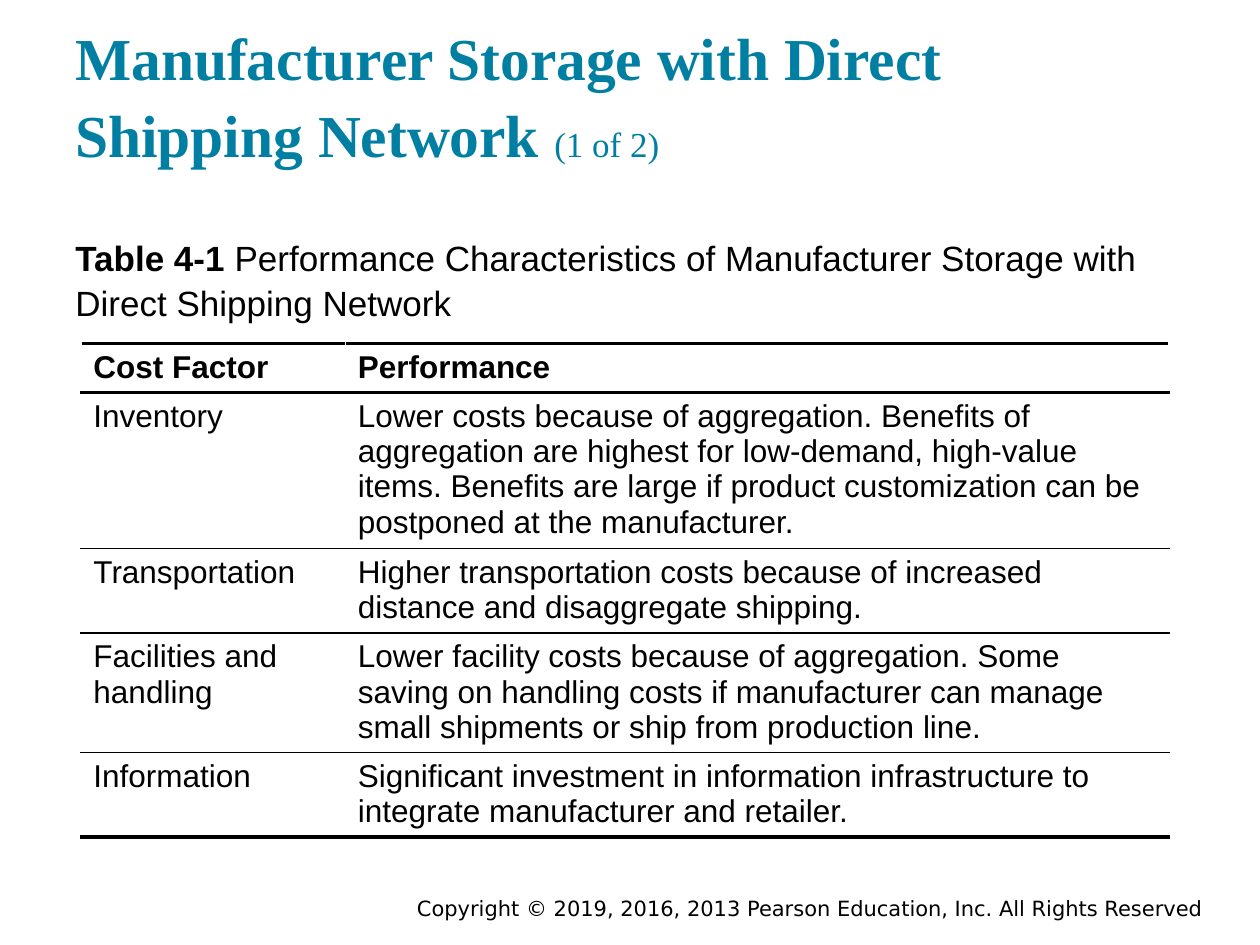
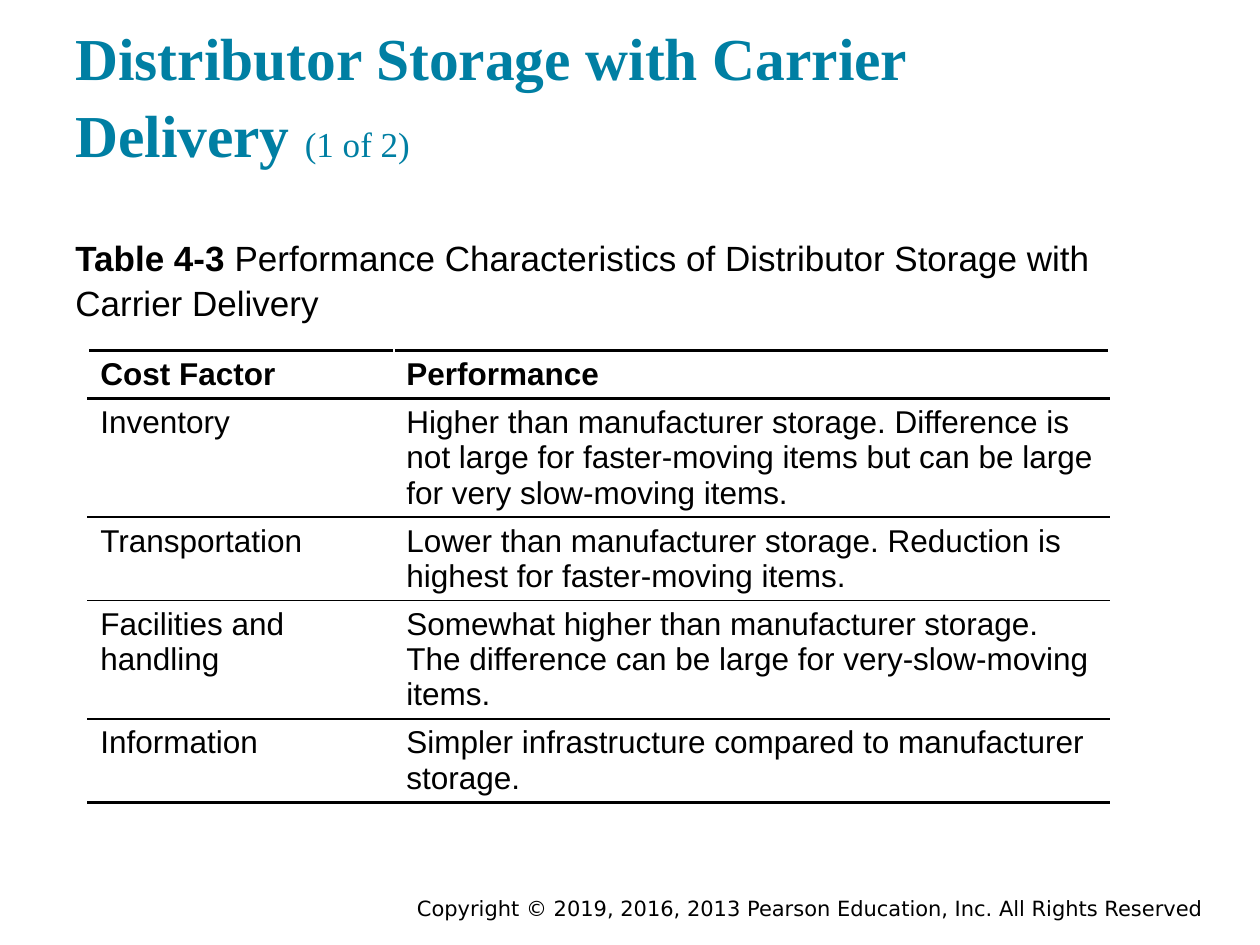
from collections import namedtuple

from lxml.etree import SubElement
from pptx import Presentation
from pptx.dml.color import RGBColor
from pptx.enum.text import MSO_ANCHOR, MSO_AUTO_SIZE, PP_ALIGN
from pptx.oxml.ns import qn
from pptx.util import Cm, Pt

# Shared style; all boxes are in centimetres
Box = namedtuple("Box", "left top width height")
TEAL, BLACK, WHITE = "007FA3", "000000", "FFFFFF"
TITLE_FONT, TEXT_FONT, FOOTER_FONT = "Times New Roman", "Arial", "DejaVu Sans"
LINE_SPACING = 1.08
THICK_RULE, THIN_RULE = 2.25, 1
CAPTION_BOX = Box(1.27, 4.45, 22.86, 2.08)
FOOTER_BOX = Box(7.62, 17.98, 16.89, 0.64)
FOOTER = "Copyright © 2019, 2016, 2013 Pearson Education, Inc. All Rights Reserved"
HEADER = ("Cost Factor", "Performance")
COST_FACTORS = ("Inventory", "Transportation", "Facilities and handling", "Information")

SLIDES = [
    {
        "title": "Manufacturer Storage with Direct Shipping Network ",
        "title_box": Box(1.27, 0.23, 22.6, 3.43),
        "label": "Table 4-1 ",
        "caption": "Performance Characteristics of Manufacturer Storage with "
                   "Direct Shipping Network",
        "table_corner": (1.63, 6.92),
        "columns": (5.33, 16.61),
        "rows": (0.99, 3.15, 1.7, 2.41, 1.7),
        "performance": (
            "Lower costs because of aggregation. Benefits of aggregation are highest "
            "for low-demand, high-value items. Benefits are large if product "
            "customization can be postponed at the manufacturer.",
            "Higher transportation costs because of increased distance and "
            "disaggregate shipping.",
            "Lower facility costs because of aggregation. Some saving on handling "
            "costs if manufacturer can manage small shipments or ship from "
            "production line.",
            "Significant investment in information infrastructure to integrate "
            "manufacturer and retailer.",
        ),
    },
    {
        "title": "Distributor Storage with Carrier Delivery ",
        "title_box": Box(1.27, 0.23, 21.11, 3.43),
        "label": "Table 4-3 ",
        "caption": "Performance Characteristics of Distributor Storage with "
                   "Carrier Delivery",
        "table_corner": (1.77, 7.07),
        "columns": (6.17, 14.42),
        "rows": (0.96, 2.39, 1.68, 2.39, 1.68),
        "performance": (
            "Higher than manufacturer storage. Difference is not large for "
            "faster-moving items but can be large for very slow-moving items.",
            "Lower than manufacturer storage. Reduction is highest for "
            "faster-moving items.",
            "Somewhat higher than manufacturer storage. The difference can be large "
            "for very-slow-moving items.",
            "Simpler infrastructure compared to manufacturer storage.",
        ),
    },
]


def style_font(font, name, size, color, bold=False):
    font.name, font.size, font.bold = name, Pt(size), bold
    font.color.rgb = RGBColor.from_string(color)


def place(shape, box):
    shape.left, shape.top, shape.width, shape.height = map(Cm, box)


def prepare_frame(shape, anchor):
    frame = shape.text_frame
    frame.word_wrap = True
    frame.auto_size = MSO_AUTO_SIZE.NONE
    frame.vertical_anchor = anchor
    frame.margin_left = frame.margin_right = Cm(0.25)
    frame.margin_top = frame.margin_bottom = Cm(0.25)
    return frame


def add_run(paragraph, text, *style):
    run = paragraph.add_run()
    run.text = text
    style_font(run.font, *style)


def fill_title(shape, box, title):
    place(shape, box)
    paragraph = prepare_frame(shape, MSO_ANCHOR.BOTTOM).paragraphs[0]
    paragraph.alignment = PP_ALIGN.LEFT
    paragraph.line_spacing = LINE_SPACING
    add_run(paragraph, title, TITLE_FONT, 34, TEAL, True)
    add_run(paragraph, "(1 of 2)", TITLE_FONT, 20, TEAL)


def fill_caption(shape, box, label, caption):
    place(shape, box)
    paragraph = prepare_frame(shape, MSO_ANCHOR.TOP).paragraphs[0]
    paragraph.line_spacing = LINE_SPACING
    paragraph.space_before = Pt(0)
    # Plain paragraph without the template's bullet
    properties = paragraph._p.get_or_add_pPr()
    properties.set("marL", "0")
    properties.set("indent", "0")
    SubElement(properties, qn("a:buNone"))
    add_run(paragraph, label, TEXT_FONT, 20, BLACK, True)
    add_run(paragraph, caption, TEXT_FONT, 20, BLACK)


def add_rule(cell, side, width):
    line = SubElement(cell._tc.get_or_add_tcPr(), qn(f"a:{side}"), w=str(Pt(width)))
    fill = SubElement(line, qn("a:solidFill"))
    SubElement(fill, qn("a:srgbClr"), val=BLACK)


def add_cost_table(slide, corner, columns, rows, performance):
    box = Box(*corner, sum(columns), sum(rows))
    table = slide.shapes.add_table(len(rows), len(columns), *map(Cm, box)).table
    table.first_row = table.horz_banding = False
    for column, width in zip(table.columns, columns):
        column.width = Cm(width)

    # Thick rules around the header and at the foot, thin ones between rows
    rules = [THICK_RULE] * 2 + [THIN_RULE] * (len(rows) - 2) + [THICK_RULE]
    contents = [HEADER, *zip(COST_FACTORS, performance)]
    for index, (height, texts) in enumerate(zip(rows, contents)):
        table.rows[index].height = Cm(height)
        for cell, text in zip(table.rows[index].cells, texts):
            add_rule(cell, "lnT", rules[index])
            add_rule(cell, "lnB", rules[index + 1])
            cell.fill.solid()
            cell.fill.fore_color.rgb = RGBColor.from_string(WHITE)
            cell.text = text
            style_font(cell.text_frame.paragraphs[0].font, TEXT_FONT, 18, BLACK,
                       index == 0)


def add_footer(slide, box):
    shape = slide.shapes.add_textbox(*map(Cm, box))
    frame = prepare_frame(shape, MSO_ANCHOR.MIDDLE)
    frame.margin_top = frame.margin_bottom = 0
    paragraph = frame.paragraphs[0]
    paragraph.text = FOOTER
    paragraph.alignment = PP_ALIGN.RIGHT
    style_font(paragraph.font, FOOTER_FONT, 12, BLACK)


def add_table_slide(presentation, content):
    slide = presentation.slides.add_slide(presentation.slide_layouts[1])
    add_footer(slide, FOOTER_BOX)
    fill_title(slide.shapes.title, content["title_box"], content["title"])
    fill_caption(slide.placeholders[1], CAPTION_BOX, content["label"],
                 content["caption"])
    add_cost_table(slide, content["table_corner"], content["columns"],
                   content["rows"], content["performance"])


def main():
    presentation = Presentation()
    presentation.slide_width, presentation.slide_height = Cm(25.4), Cm(19.05)
    for content in SLIDES:
        add_table_slide(presentation, content)
    presentation.save("out.pptx")


if __name__ == "__main__":
    main()
